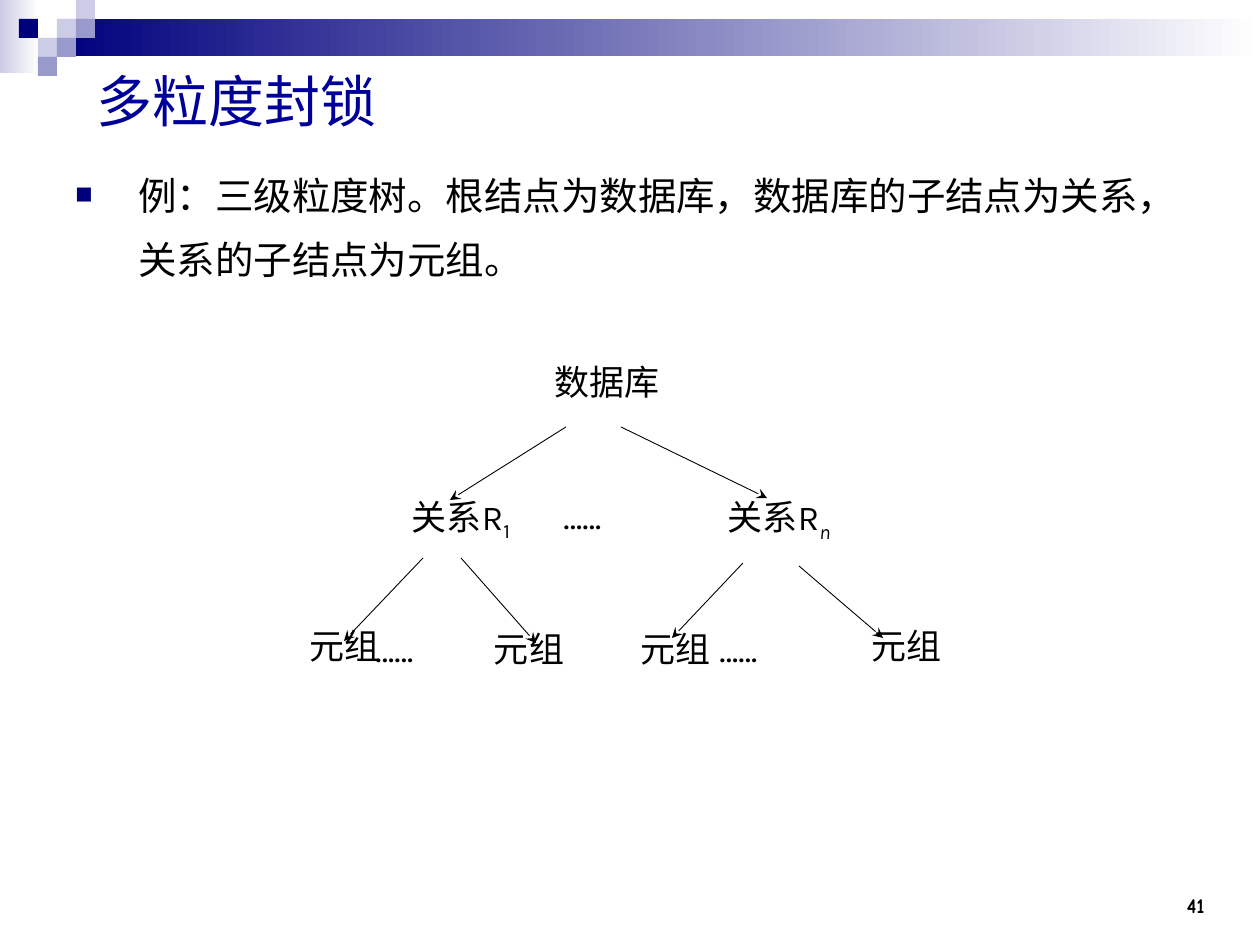
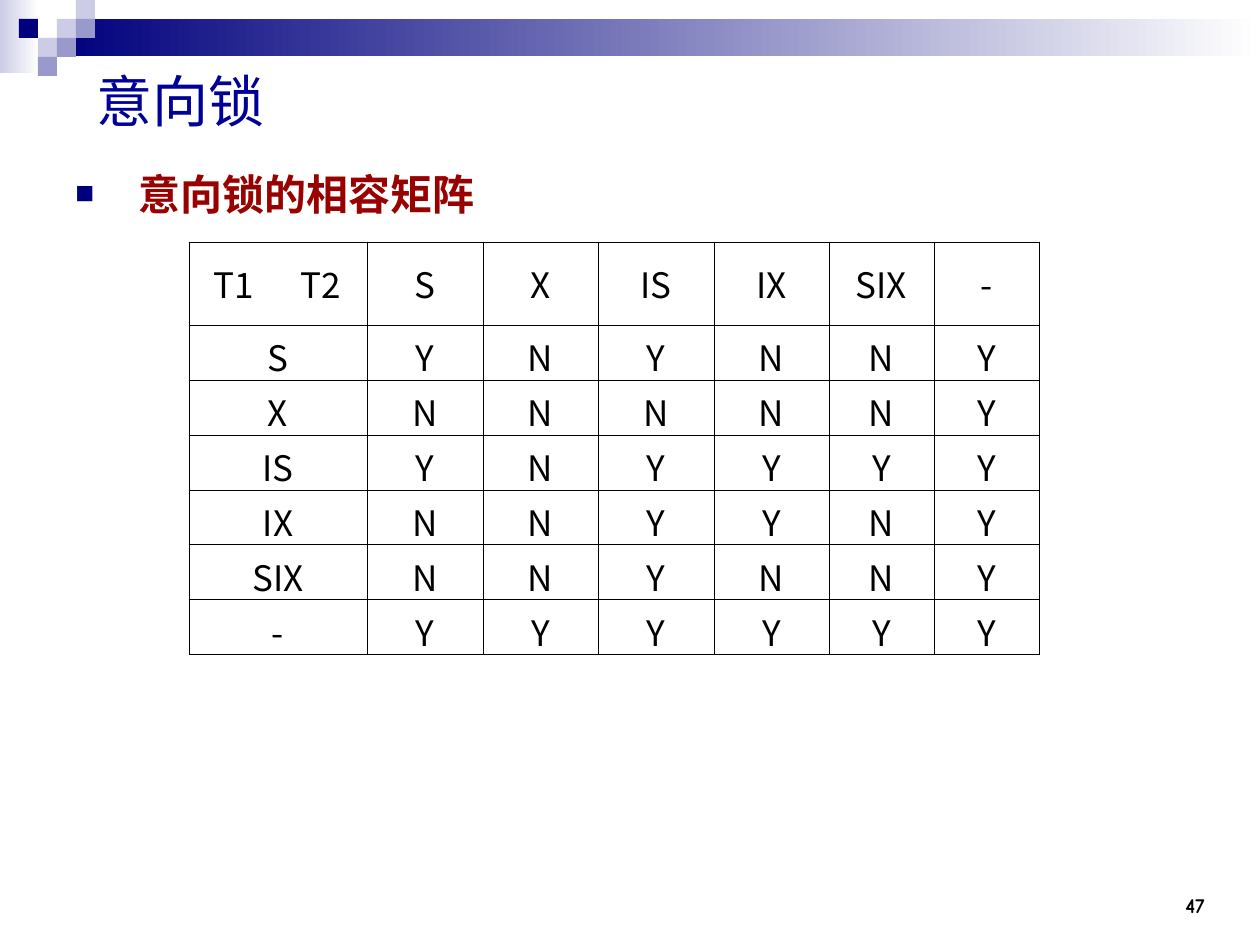
from dataclasses import dataclass

from lxml.etree import SubElement
from pptx import Presentation
from pptx.dml.color import RGBColor
from pptx.enum.shapes import MSO_CONNECTOR, MSO_SHAPE
from pptx.enum.text import MSO_ANCHOR, PP_ALIGN
from pptx.oxml.ns import qn
from pptx.util import Emu, Pt

# Shared scale, colours and fonts
PX_PER_INCH = 126
BLACK = RGBColor(0x00, 0x00, 0x00)
WHITE = RGBColor(0xFF, 0xFF, 0xFF)
NAVY = RGBColor(0x00, 0x00, 0x7D)
LAVENDER = RGBColor(0xCC, 0xCC, 0xE6)
PERIWINKLE = RGBColor(0x99, 0x99, 0xCC)
TITLE_BLUE = RGBColor(0x00, 0x00, 0x99)
DARK_RED = RGBColor(0x99, 0x00, 0x00)
KARLA = "Karla"
COMIC = "Comic Neue"
MONO = "Noto Sans Mono"
SANS = "Noto Sans CJK SC"


def px(length: int) -> Emu:
    return Emu(round(length * 914400 / PX_PER_INCH))


@dataclass(frozen=True)
class Box:
    left: int
    top: int
    width: int
    height: int

    def emu(self) -> tuple:
        return px(self.left), px(self.top), px(self.width), px(self.height)


@dataclass(frozen=True)
class TextStyle:
    font: str
    size: int
    color: RGBColor = BLACK
    bold: bool = False


@dataclass(frozen=True)
class TreeLabel:
    text: str
    box: Box
    subscript: str = ""
    italic_subscript: bool = False
    align: PP_ALIGN = PP_ALIGN.CENTER


@dataclass(frozen=True)
class Arrow:
    x1: int
    y1: int
    x2: int
    y2: int


@dataclass(frozen=True)
class Square:
    column: int
    row: int
    color: RGBColor


# Header decoration: two gradient bands and squares on a grid
SQUARE_SIDE = 19
BANDS = [(Box(0, 0, 39, 73), LAVENDER), (Box(57, 19, 1203, 37), NAVY)]
SQUARES = [
    Square(3, 1, LAVENDER), Square(4, 0, LAVENDER), Square(4, 1, PERIWINKLE),
    Square(2, 2, LAVENDER), Square(1, 1, NAVY), Square(3, 2, PERIWINKLE),
    Square(2, 3, PERIWINKLE),
]
TITLE_BOX = Box(84, 53, 1134, 94)
BODY_BOX = Box(63, 147, 1155, 735)
NUMBER_BOX = Box(1113, 861, 104, 63)
NUMBER_STYLE = TextStyle(COMIC, 12, bold=True)

# Granularity tree
TREE_STYLE = TextStyle(KARLA, 20)
TREE_LABELS = [
    TreeLabel("数据库", Box(517, 357, 181, 81)),
    TreeLabel("关系R", Box(687, 489, 184, 72), "n", True),
    TreeLabel("关系R", Box(355, 489, 212, 115), "1"),
    TreeLabel("元组", Box(273, 621, 144, 74)),
    TreeLabel("元组", Box(816, 621, 181, 83)),
    TreeLabel("元组", Box(457, 624, 144, 74)),
    TreeLabel("元组", Box(604, 624, 144, 74)),
    TreeLabel("……", Box(551, 491, 184, 60), align=PP_ALIGN.JUSTIFY),
    TreeLabel("……", Box(707, 624, 184, 83), align=PP_ALIGN.JUSTIFY),
    TreeLabel("……", Box(363, 624, 184, 60), align=PP_ALIGN.JUSTIFY),
]
TREE_ARROWS = [
    Arrow(566, 427, 450, 500), Arrow(621, 427, 767, 498),
    Arrow(423, 558, 344, 641), Arrow(461, 558, 536, 643),
    Arrow(743, 563, 672, 638), Arrow(799, 566, 883, 638),
]

# Compatibility matrix: one string of answers per held lock
LOCKS = ["S", "X", "IS", "IX", "SIX", "-"]
ANSWERS = ["YNYNNY", "NNNNNY", "YNYYYY", "NNYYNY", "NNYNNY", "YYYYYY"]
MATRIX_STYLE = TextStyle(SANS, 20)
MATRIX_COLUMNS = [178, 116, 115, 116, 115, 105, 105]
MATRIX_ROWS = [83] + [55] * len(LOCKS)
CORNER_MARGIN, CORNER_TAB = 25, 87


def add_run(paragraph, text: str, style: TextStyle):
    run = paragraph.add_run()
    run.text = text
    font = run.font
    font.name, font.size, font.bold = style.font, Pt(style.size), style.bold
    font.color.rgb = style.color
    SubElement(run.font._element, qn("a:ea"), typeface=style.font)
    return run


def add_text(slide, box: Box, text: str, style: TextStyle,
             anchor: MSO_ANCHOR = MSO_ANCHOR.TOP,
             align: PP_ALIGN = PP_ALIGN.LEFT):
    frame = slide.shapes.add_textbox(*box.emu()).text_frame
    frame.word_wrap = True
    frame.vertical_anchor = anchor
    paragraph = frame.paragraphs[0]
    paragraph.alignment = align
    add_run(paragraph, text, style)
    return paragraph


def add_rectangle(slide, box: Box):
    rectangle = slide.shapes.add_shape(MSO_SHAPE.RECTANGLE, *box.emu())
    rectangle.shadow.inherit = False
    rectangle.line.fill.background()
    return rectangle


def add_header(slide) -> None:
    for box, start_color in BANDS:
        fill = add_rectangle(slide, box).fill
        fill.gradient()
        fill.gradient_angle = 0
        for stop, position, color in zip(fill.gradient_stops, (0, 1), (start_color, WHITE)):
            stop.position = position
            stop.color.rgb = color
    for square in SQUARES:
        box = Box(square.column * SQUARE_SIDE, square.row * SQUARE_SIDE,
                  SQUARE_SIDE, SQUARE_SIDE)
        fill = add_rectangle(slide, box).fill
        fill.solid()
        fill.fore_color.rgb = square.color


def add_bullet(slide, text: str, style: TextStyle, line_spacing: float,
               space_before: float) -> None:
    paragraph = add_text(slide, BODY_BOX, text, style)
    paragraph.line_spacing = line_spacing
    paragraph.space_before = Pt(space_before)
    properties = paragraph._p.get_or_add_pPr()
    properties.set("marL", str(px(63)))
    properties.set("indent", str(px(-63)))
    bullet_color = SubElement(properties, qn("a:buClr"))
    SubElement(bullet_color, qn("a:srgbClr"), val=str(NAVY))
    SubElement(properties, qn("a:buSzPct"), val="75000")
    SubElement(properties, qn("a:buFont"), typeface=MONO)
    SubElement(properties, qn("a:buChar"), char="■")


def start_slide(presentation, title: str, title_font: str, number: str):
    slide = presentation.slides.add_slide(presentation.slide_layouts[6])
    add_header(slide)
    add_text(slide, NUMBER_BOX, number, NUMBER_STYLE, MSO_ANCHOR.BOTTOM, PP_ALIGN.RIGHT)
    add_text(slide, TITLE_BOX, title, TextStyle(title_font, 32, TITLE_BLUE),
             MSO_ANCHOR.MIDDLE)
    return slide


def add_arrow(slide, arrow: Arrow) -> None:
    connector = slide.shapes.add_connector(
        MSO_CONNECTOR.STRAIGHT,
        px(arrow.x1), px(arrow.y1), px(arrow.x2), px(arrow.y2))
    connector.line.color.rgb = BLACK
    connector.line.width = Pt(0.5)
    properties = connector.element.spPr
    SubElement(properties.find(qn("a:ln")), qn("a:tailEnd"), type="stealth")
    SubElement(properties, qn("a:effectLst"))


def add_tree_label(slide, label: TreeLabel) -> None:
    paragraph = add_text(slide, label.box, label.text, TREE_STYLE, align=label.align)
    paragraph.line_spacing = 0.96
    if label.subscript:
        font = add_run(paragraph, label.subscript, TREE_STYLE).font
        font.italic = label.italic_subscript
        font._element.set("baseline", "-25000")


def add_cell_borders(cell) -> None:
    properties = cell._tc.get_or_add_tcPr()
    for side in ("lnL", "lnR", "lnT", "lnB"):
        border = SubElement(properties, qn(f"a:{side}"), w=str(Pt(0.45)))
        fill = SubElement(border, qn("a:solidFill"))
        SubElement(fill, qn("a:srgbClr"), val=str(BLACK))


def add_matrix(slide) -> None:
    box = Box(189, 242, sum(MATRIX_COLUMNS), sum(MATRIX_ROWS))
    table = slide.shapes.add_table(
        len(MATRIX_ROWS), len(MATRIX_COLUMNS), *box.emu()).table
    table.first_row = table.horz_banding = False
    for column, width in zip(table.columns, MATRIX_COLUMNS):
        column.width = px(width)
    for row, height in zip(table.rows, MATRIX_ROWS):
        row.height = px(height)

    contents = [["T1\tT2", *LOCKS]]
    contents += [[lock, *answers] for lock, answers in zip(LOCKS, ANSWERS)]
    for row, texts in zip(table.rows, contents):
        for cell, text in zip(row.cells, texts):
            cell.vertical_anchor = MSO_ANCHOR.MIDDLE
            add_cell_borders(cell)
            cell.fill.background()
            paragraph = cell.text_frame.paragraphs[0]
            paragraph.alignment = PP_ALIGN.CENTER
            add_run(paragraph, text, MATRIX_STYLE)

    # The corner cell sets its two transaction names apart with a tab stop
    corner = table.cell(0, 0)
    corner.margin_left = px(CORNER_MARGIN)
    paragraph = corner.text_frame.paragraphs[0]
    paragraph.alignment = PP_ALIGN.LEFT
    tabs = SubElement(paragraph._p.get_or_add_pPr(), qn("a:tabLst"))
    SubElement(tabs, qn("a:tab"), pos=str(px(CORNER_TAB)), algn="l")


def build_granularity_slide(presentation) -> None:
    slide = start_slide(presentation, "多粒度封锁", KARLA, "41")
    add_bullet(slide,
               "例：三级粒度树。根结点为数据库，数据库的子结点为关系，关系的子结点为元组。",
               TextStyle(KARLA, 22), 1.4, 5.5)
    for arrow in TREE_ARROWS:
        add_arrow(slide, arrow)
    for label in TREE_LABELS:
        add_tree_label(slide, label)


def build_intention_lock_slide(presentation) -> None:
    slide = start_slide(presentation, "意向锁", COMIC, "47")
    add_bullet(slide, "意向锁的相容矩阵", TextStyle(MONO, 24, DARK_RED, bold=True), 1.3, 6)
    add_matrix(slide)


def main() -> None:
    presentation = Presentation()
    presentation.slide_width = px(1260)
    presentation.slide_height = px(945)
    build_granularity_slide(presentation)
    build_intention_lock_slide(presentation)
    presentation.save("out.pptx")


if __name__ == "__main__":
    main()
